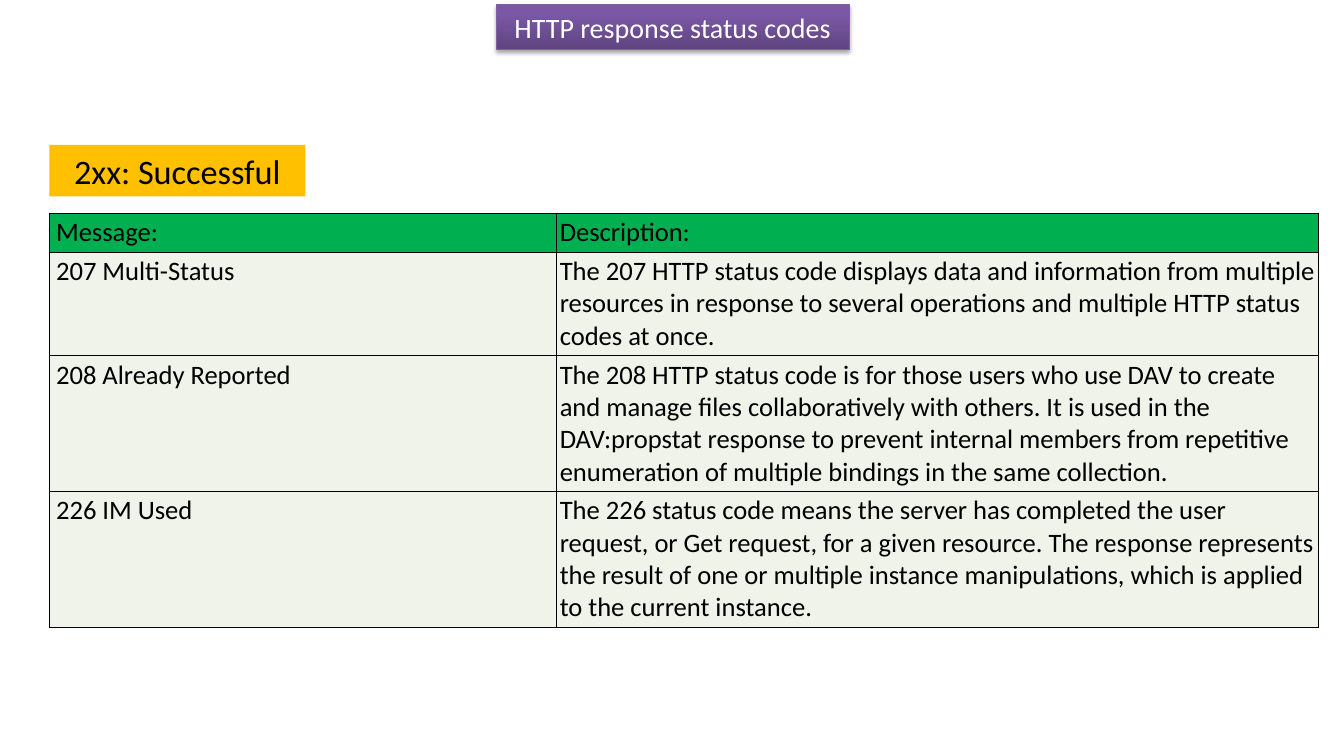
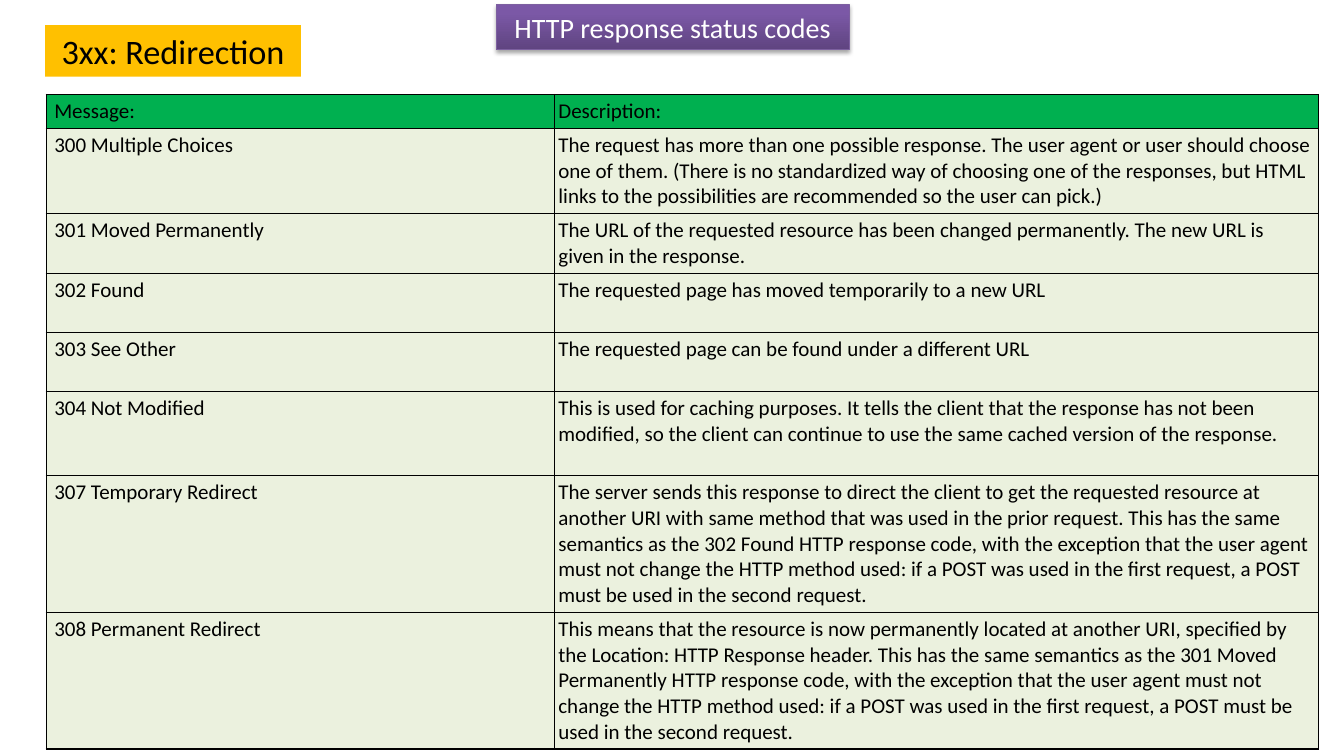
from lxml import etree
from pptx import Presentation
from pptx.dml.color import RGBColor
from pptx.enum.shapes import MSO_SHAPE
from pptx.enum.text import MSO_ANCHOR, MSO_AUTO_SIZE, PP_ALIGN
from pptx.oxml import parse_xml
from pptx.util import Pt

RECTANGLE = MSO_SHAPE.RECTANGLE
MIDDLE = MSO_ANCHOR.MIDDLE
NO_AUTOFIT = MSO_AUTO_SIZE.NONE
CENTER = PP_ALIGN.CENTER

FONT = "Calibri"
BLACK, WHITE, AMBER, GREEN = "000000", "FFFFFF", "FFC000", "00B050"
TITLE = "HTTP response status codes"
TITLE_BOX = (354.3, 3.2, 252.2, 32.2)
TITLE_STOPS = [(0, "5F4480"), (80, "7B58A6"), (100, "7C57A8")]
TITLE_LINE = "7D60A0"
LABEL_SIZE = (182.8, 36.8)
HEADER = ("Message:", "Description:")
NS = "http://schemas.openxmlformats.org/drawingml/2006/main"

SECTIONS = [
    {
        "label": "2xx: Successful",
        "label_at": (35.3, 103.5),
        "table_at": (35.3, 152.3),
        "columns": (362.2, 544.3),
        "heights": (27, 73, 95.5, 95.5),
        "size": 19,
        "inset": 2.4,
        "fill": "EFF3EA",
        "codes": [
            ("207 Multi-Status",
             "The 207 HTTP status code displays data and information from multiple resources in "
             "response to several operations and multiple HTTP status codes at once."),
            ("208 Already Reported",
             "The 208 HTTP status code is for those users who use DAV to create and manage files "
             "collaboratively with others. It is used in the DAV:propstat response to prevent "
             "internal members from repetitive enumeration of multiple bindings in the same "
             "collection."),
            ("226 IM Used",
             "The 226 status code means the server has completed the user request, or Get request, "
             "for a given resource. The response represents the result of one or multiple instance "
             "manipulations, which is applied to the current instance."),
        ],
    },
    {
        "label": "3xx: Redirection",
        "label_at": (32.2, 18),
        "table_at": (33, 67.5),
        "columns": (363, 545.6),
        "heights": (24, 60, 42.3, 42.3, 42.3, 60, 96.5, 96),
        "size": 15,
        "inset": 2.9,
        "fill": "EBF1DE",
        "codes": [
            ("300 Multiple Choices",
             "The request has more than one possible response. The user agent or user should choose "
             "one of them. (There is no standardized way of choosing one of the responses, but HTML "
             "links to the possibilities are recommended so the user can pick.)"),
            ("301 Moved Permanently",
             "The URL of the requested resource has been changed permanently. The new URL is given "
             "in the response."),
            ("302 Found", "The requested page has moved temporarily to a new URL"),
            ("303 See Other", "The requested page can be found under a different URL"),
            ("304 Not Modified",
             "This is used for caching purposes. It tells the client that the response has not been "
             "modified, so the client can continue to use the same cached version of the response."),
            ("307 Temporary Redirect",
             "The server sends this response to direct the client to get the requested resource at "
             "another URI with same method that was used in the prior request. This has the same "
             "semantics as the 302 Found HTTP response code, with the exception that the user agent "
             "must not change the HTTP method used: if a POST was used in the first request, a POST "
             "must be used in the second request."),
            ("308 Permanent Redirect",
             "This means that the resource is now permanently located at another URI, specified by "
             "the Location: HTTP Response header. This has the same semantics as the 301 Moved "
             "Permanently HTTP response code, with the exception that the user agent must not "
             "change the HTTP method used: if a POST was used in the first request, a POST must be "
             "used in the second request."),
        ],
    },
]


def color(value):
    return RGBColor.from_string(value)


def write(frame, text, size, ink):
    frame.text = text
    paragraph = frame.paragraphs[0]
    paragraph.font.name = FONT
    paragraph.font.size = Pt(size)
    paragraph.font.color.rgb = color(ink)
    return paragraph


def write_centered(frame, text, size, ink):
    write(frame, text, size, ink).alignment = CENTER
    frame.word_wrap = True
    frame.auto_size = NO_AUTOFIT
    frame.vertical_anchor = MIDDLE


def add_title(slide):
    title = slide.shapes.title
    title.left, title.top, title.width, title.height = map(Pt, TITLE_BOX)
    stops = "".join(
        f'<a:gs pos="{pos * 1000}"><a:srgbClr val="{value}"/></a:gs>' for pos, value in TITLE_STOPS
    )
    gradient = f'<a:gsLst>{stops}</a:gsLst><a:lin ang="16200000" scaled="0"/>'
    shadow = (
        f'<a:outerShdw blurRad="{Pt(3.1)}" dist="{Pt(1.8)}" dir="5400000" rotWithShape="0">'
        f'<a:srgbClr val="{BLACK}"><a:alpha val="35000"/></a:srgbClr></a:outerShdw>'
    )
    properties = title.element.spPr
    properties.append(parse_xml(f'<a:prstGeom xmlns:a="{NS}" prst="rect"><a:avLst/></a:prstGeom>'))
    properties.append(parse_xml(f'<a:gradFill xmlns:a="{NS}" rotWithShape="1">{gradient}</a:gradFill>'))
    properties.append(parse_xml(f'<a:effectLst xmlns:a="{NS}">{shadow}</a:effectLst>'))
    title.line.color.rgb = color(TITLE_LINE)
    title.line.width = Pt(0.75)
    write_centered(title.text_frame, TITLE, 20, WHITE)


def add_label(slide, text, position):
    label = slide.shapes.add_shape(RECTANGLE, *map(Pt, position + LABEL_SIZE))
    label.shadow.inherit = False
    label.fill.solid()
    label.fill.fore_color.rgb = color(AMBER)
    label.line.fill.background()
    write_centered(label.text_frame, text, 24.5, BLACK)


def add_borders(cell):
    properties = cell._tc.get_or_add_tcPr()
    for side in ("lnL", "lnR", "lnT", "lnB"):
        border = etree.SubElement(properties, f"{{{NS}}}{side}", w=str(Pt(1)))
        fill = etree.SubElement(border, f"{{{NS}}}solidFill")
        etree.SubElement(fill, f"{{{NS}}}srgbClr", val=BLACK)


def add_codes(slide, section):
    rows = [HEADER] + section["codes"]
    columns, heights, inset = section["columns"], section["heights"], section["inset"]
    box = section["table_at"] + (sum(columns), sum(heights))
    table = slide.shapes.add_table(len(rows), len(columns), *map(Pt, box)).table
    table.first_row = table.horz_banding = False
    for column, width in zip(table.columns, columns):
        column.width = Pt(width)
    for r, (row, height) in enumerate(zip(rows, heights)):
        table.rows[r].height = Pt(height)
        for c, text in enumerate(row):
            cell = table.cell(r, c)
            cell.margin_left = Pt(inset if c else 2 * inset)
            cell.margin_right = cell.margin_top = cell.margin_bottom = Pt(inset)
            add_borders(cell)
            cell.fill.solid()
            cell.fill.fore_color.rgb = color(section["fill"] if r else GREEN)
            write(cell.text_frame, text, section["size"], BLACK)


def main():
    deck = Presentation()
    deck.slide_width, deck.slide_height = Pt(960), Pt(540)
    title_only = deck.slide_layouts[5]
    for section in SECTIONS:
        slide = deck.slides.add_slide(title_only)
        add_title(slide)
        add_label(slide, section["label"], section["label_at"])
        add_codes(slide, section)
    deck.save("out.pptx")


if __name__ == "__main__":
    main()
